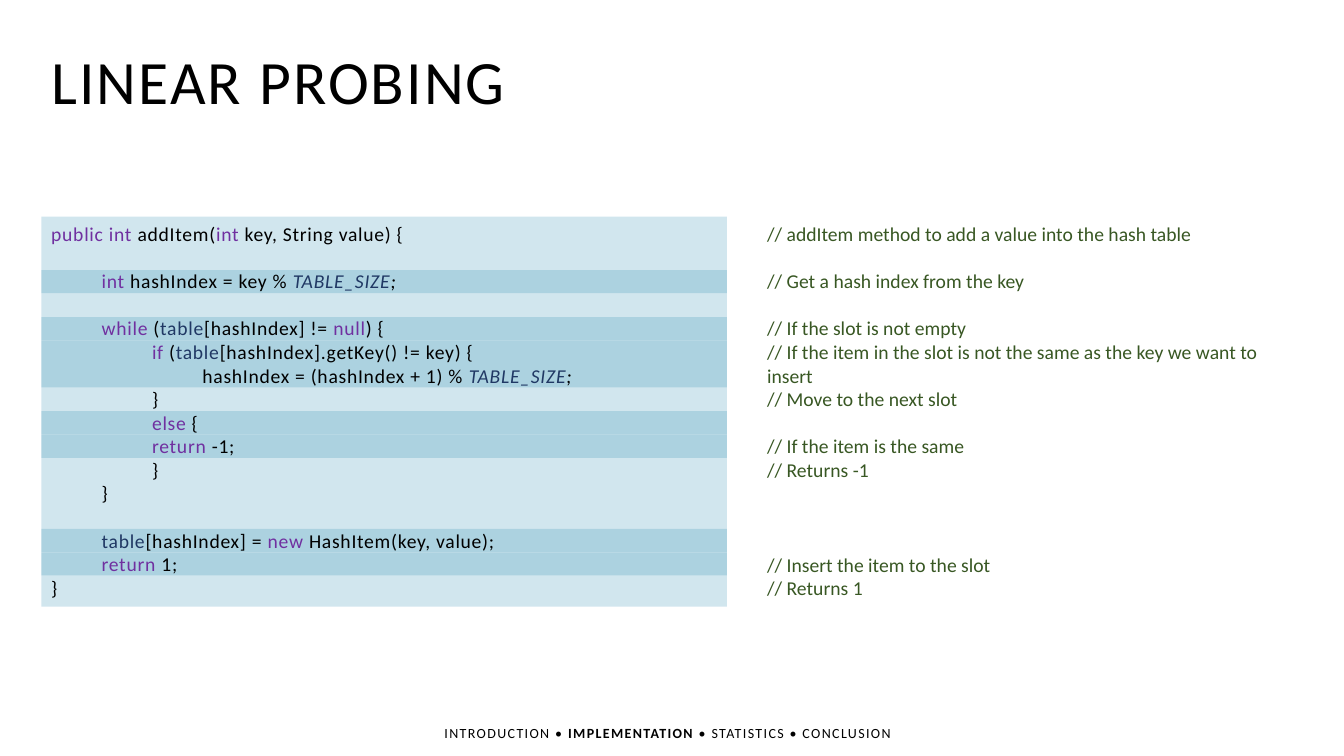
"""Build the linear probing slide: commented Java code on highlighted rows."""
from lxml.etree import SubElement
from pptx import Presentation
from pptx.dml.color import RGBColor
from pptx.enum.shapes import MSO_SHAPE as Shape
from pptx.oxml.ns import qn
from pptx.util import Inches, Pt

BLACK, BLUE, GREEN = "000000", "1983AC", "385723"
PLAIN, END = {"color": BLACK}, {"color": BLACK, "italic": True}
KEYWORD, FIELD = {"color": "7030A0"}, {"color": "203864"}
CONSTANT = {"color": "203864", "italic": True}

TITLE = [[("LINEAR PROBING", PLAIN)]]
SECTIONS = [[("INTRODUCTION • ", PLAIN),
             ("IMPLEMENTATION", {"color": BLACK, "bold": True}),
             (" • STATISTICS • CONCLUSION", PLAIN)]]
CODE = [
    [("public int ", KEYWORD), ("addItem(", PLAIN), ("int", KEYWORD),
     (" key, String value) {", PLAIN)],
    None,
    [("\tint ", KEYWORD), ("hashIndex = key % ", PLAIN),
     ("TABLE_SIZE", CONSTANT), (";", END)],
    None,
    [("\twhile", KEYWORD), (" (", PLAIN), ("table", FIELD),
     ("[hashIndex] != ", PLAIN), ("null", KEYWORD), (") {", PLAIN)],
    [("\t\tif", KEYWORD), (" (", PLAIN), ("table", FIELD),
     ("[hashIndex].getKey() != key) {", PLAIN)],
    [("\t\t\thashIndex = (hashIndex + 1) % ", PLAIN),
     ("TABLE_SIZE", CONSTANT), (";", END)],
    [("\t\t}", PLAIN)],
    [("\t\telse", KEYWORD), (" {", PLAIN)],
    [("\t\treturn ", KEYWORD), ("-1;", PLAIN)],
    [("\t\t}", PLAIN)],
    [("\t}", PLAIN)],
    None,
    [("\ttable", FIELD), ("[hashIndex] = ", PLAIN), ("new ", KEYWORD),
     ("HashItem(key, value);", PLAIN)],
    [("\treturn ", KEYWORD), ("1;", PLAIN)],
    [("}", PLAIN)],
]
HIGHLIGHTED_ROWS = [2, 4, 5, 6, 8, 9, 13, 14]
COMMENTS = [
    "// addItem method to add a value into the hash table",
    None,
    "// Get a hash index from the key",
    None,
    "// If the slot is not empty",
    "// If the item in the slot is not the same as the key we want to insert",
    "// Move to the next slot",
    None,
    "// If the item is the same",
    "// Returns -1",
    None,
    None,
    None,
    "// Insert the item to the slot",
    "// Returns 1",
]

LEFT, CODE_TOP, CODE_WIDTH, CODE_HEIGHT = 0.41, 2.15, 6.8, 3.87
FIRST_BAND, LAST_BAND, BAND_HEIGHT = 2.68, 5.48, 0.23
BAND_PITCH = (LAST_BAND - FIRST_BAND) / (HIGHLIGHTED_ROWS[-1] - HIGHLIGHTED_ROWS[0])
LINE_POINTS = 17


def rgb(color):
    return RGBColor.from_string(color)


def add_text(slide, lines, left, top, width, height, size=14, spacing=0, wrap=True):
    frame = slide.shapes.add_textbox(
        Inches(left), Inches(top), Inches(width), Inches(height)).text_frame
    frame.word_wrap = wrap
    skipped = 0
    for number, line in enumerate(lines):
        if line is None:
            skipped += 1
            continue
        paragraph = frame.add_paragraph() if number else frame.paragraphs[0]
        paragraph.space_before = Pt(skipped * LINE_POINTS)
        skipped = 0
        for words, style in line:
            run = paragraph.add_run()
            run.text = words
            run.font.name, run.font.size = "Calibri", Pt(size)
            run.font.color.rgb = rgb(style["color"])
            run.font.bold = style.get("bold", False)
            run.font.italic = style.get("italic", False)
            run.font._element.set("spc", str(int(spacing * 100)))


def add_band(slide, top, height):
    band = slide.shapes.add_shape(
        Shape.RECTANGLE, Inches(LEFT), Inches(top), Inches(CODE_WIDTH), Inches(height))
    band.shadow.inherit = False
    band.line.fill.background()
    band.fill.solid()
    band.fill.fore_color.rgb = rgb(BLUE)
    tint = band._element.spPr.find(qn("a:solidFill"))[0]
    SubElement(tint, qn("a:alpha")).set("val", "20000")


def main():
    deck = Presentation()
    deck.slide_width, deck.slide_height = Inches(13.33), Inches(7.5)
    slide = deck.slides.add_slide(deck.slide_layouts[6])
    add_text(slide, TITLE, LEFT, 0.38, 4.77, 0.84, size=44, spacing=1.5, wrap=False)
    add_text(slide, SECTIONS, 4.31, 7.14, 4.71, 0.27, size=10, spacing=1, wrap=False)
    notes = [text and [(text, {"color": GREEN})] for text in COMMENTS]
    add_text(slide, notes, 7.51, CODE_TOP, 5.2, 3.64)
    add_band(slide, CODE_TOP, CODE_HEIGHT)
    for row in HIGHLIGHTED_ROWS:
        add_band(slide, FIRST_BAND + (row - HIGHLIGHTED_ROWS[0]) * BAND_PITCH, BAND_HEIGHT)
    add_text(slide, CODE, LEFT, CODE_TOP, 7, CODE_HEIGHT, spacing=0.5)
    deck.save("out.pptx")


if __name__ == "__main__":
    main()
